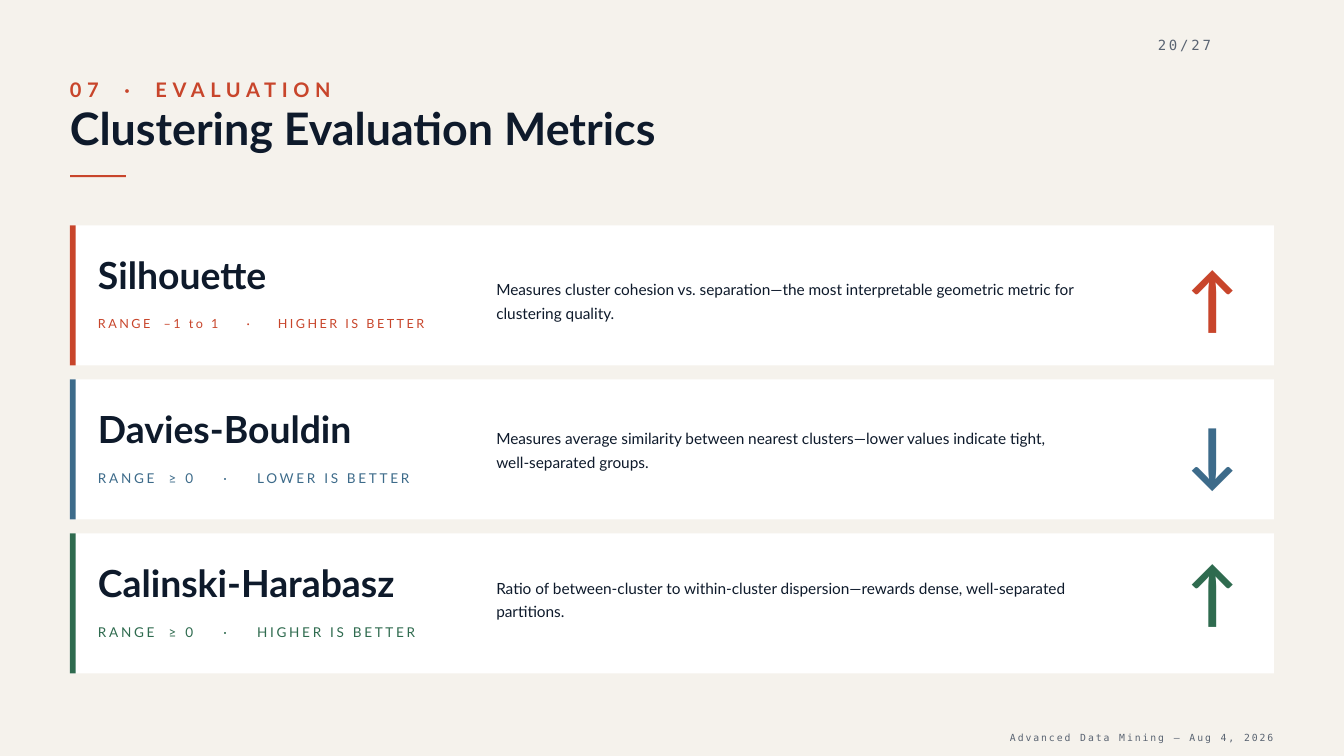
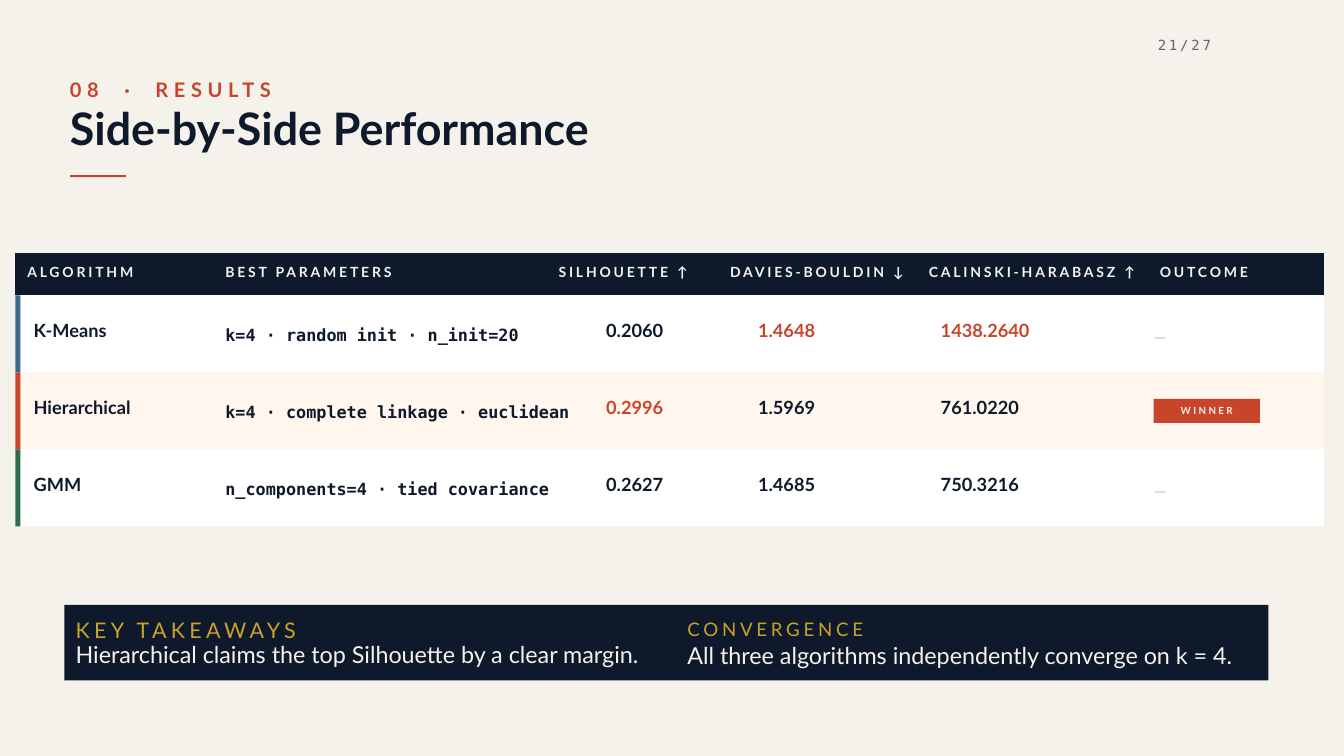
from itertools import accumulate

from pptx import Presentation
from pptx.dml.color import RGBColor
from pptx.enum.shapes import MSO_SHAPE
from pptx.enum.text import PP_ALIGN
from pptx.util import Emu, Pt

PX = 9525
PAPER = RGBColor(0xF5, 0xF2, 0xEC)
INK = RGBColor(0x0E, 0x1A, 0x2B)
WHITE = RGBColor(0xFF, 0xFF, 0xFF)
RED = RGBColor(0xC8, 0x45, 0x2B)
BLUE = RGBColor(0x3D, 0x6B, 0x8A)
GREEN = RGBColor(0x2F, 0x6B, 0x4F)
GOLD = RGBColor(0xC9, 0xA2, 0x27)
GRAY = RGBColor(0x5A, 0x64, 0x72)
SAND = RGBColor(0xC9, 0xC2, 0xB4)
CREAM = RGBColor(0xFF, 0xF6, 0xEE)
SANS = "Lato"
MONO = "DejaVu Sans Mono"
SPACE_WIDTH = 0.193
PLAIN_TABLE_STYLE = "{2D5ABB26-0587-4C30-8999-92F81FD0307C}"
MARGIN = 100
CONTENT_WIDTH = 1720


def px(length):
    return Emu(length * PX)


def write(frame, text, size=18, color=INK, font=SANS, bold=False, spacing=0,
          line=None, align=PP_ALIGN.LEFT):
    paragraph = frame.paragraphs[0]
    paragraph.alignment = align
    paragraph.line_spacing = Pt(line or round(size * 1.4, 1))
    runs = [(text, spacing)] if isinstance(text, str) else text
    for content, run_spacing in runs:
        run = paragraph.add_run()
        run.text = content
        run.font.size = Pt(size)
        run.font.name = font
        run.font.bold = bold
        run.font.color.rgb = color
        if run_spacing:
            run.font._element.set("spc", str(round(run_spacing * 100)))


def spread(parts, gaps, size, spacing):
    runs = [(parts[0], spacing)]
    for part, gap in zip(parts[1:], gaps):
        gap_spacing = gap * spacing + (gap - 1) * SPACE_WIDTH * size
        runs += [(" ", gap_spacing), (part, spacing)]
    return runs


class Deck:
    def __init__(self):
        self.presentation = Presentation()
        self.presentation.slide_width = px(1920)
        self.presentation.slide_height = px(1080)
        self.slide = None

    def start_slide(self, section, label, title, page):
        self.slide = self.presentation.slides.add_slide(self.presentation.slide_layouts[6])
        background = self.slide.background.fill
        background.solid()
        background.fore_color.rgb = PAPER
        eyebrow = spread([section, "·", label], [2, 2], 21.5, 6)
        self.text(MARGIN, 105, 1400, 40, eyebrow, size=21.5, color=RED, bold=True)
        self.text(MARGIN, 152, CONTENT_WIDTH, 70, title, size=48, bold=True, line=51.8)
        self.box(MARGIN, 250, 80, 3, RED)
        self.text(1654, 48, 200, 25, f"{page}/27", size=15, color=GRAY, font=MONO, spacing=3)

    def footer(self, text):
        self.text(920, 1043, 900, 20, text, size=10.5, color=GRAY, font=MONO,
                  spacing=2.1, align=PP_ALIGN.RIGHT)

    def text(self, left, top, width, height, text, **style):
        shape = self.slide.shapes.add_textbox(px(left), px(top), px(width), px(height))
        frame = shape.text_frame
        frame.word_wrap = True
        frame.margin_left = frame.margin_right = frame.margin_top = frame.margin_bottom = 0
        write(frame, text, **style)

    def box(self, left, top, width, height, color):
        shape = self.slide.shapes.add_shape(
            MSO_SHAPE.RECTANGLE, px(left), px(top), px(width), px(height))
        shape.shadow.inherit = False
        shape.fill.solid()
        shape.fill.fore_color.rgb = color
        shape.line.fill.background()

    def table(self, left, top, widths, heights):
        frame = self.slide.shapes.add_table(
            len(heights), len(widths), px(left), px(top), px(sum(widths)), px(sum(heights)))
        table = frame.table
        table.first_row = table.horz_banding = False
        table._tbl.tblPr[0].text = PLAIN_TABLE_STYLE
        for column, width in zip(table.columns, widths):
            column.width = px(width)
        for row, height in zip(table.rows, heights):
            row.height = px(height)
        return table

    def cell(self, cell, text, left, top, **style):
        cell.margin_left, cell.margin_top = px(left), px(top)
        cell.margin_right = cell.margin_bottom = 0
        if text:
            write(cell.text_frame, text, **style)


METRICS = [
    ("Silhouette", "–1 to 1", "HIGHER IS BETTER", "↑", RED, 13.5, 72, 23,
     "Measures cluster cohesion vs. separation—the most interpretable geometric "
     "metric for clustering quality."),
    ("Davies-Bouldin", "≥ 0", "LOWER IS BETTER", "↓", BLUE, 14.5, 65, 23,
     "Measures average similarity between nearest clusters—lower values indicate "
     "tight, well-separated groups."),
    ("Calinski-Harabasz", "≥ 0", "HIGHER IS BETTER", "↑", GREEN, 14.5, 59, 3,
     "Ratio of between-cluster to within-cluster dispersion—rewards dense, "
     "well-separated partitions."),
]

COLUMN_WIDTHS = [288, 480, 30, 215, 285, 320, 252]
COLUMN_LEFTS = list(accumulate(COLUMN_WIDTHS, initial=22))
HEADERS = [
    (0, 39, "ALGORITHM"), (1, 322, "BEST PARAMETERS"), (2, 798, "SILHOUETTE ↑"),
    (4, 1043, "DAVIES-BOULDIN ↓"), (5, 1327, "CALINSKI-HARABASZ ↑"), (6, 1657, "OUTCOME"),
]
VALUE_COLUMNS = [(0, 48), (3, 866), (4, 1083), (5, 1344)]
RESULTS = [
    ("k=4 · random init · n_init=20", ["K-Means", "0.2060", "1.4648", "1438.2640"],
     {"1.4648", "1438.2640"}, BLUE, WHITE, "—"),
    ("k=4 · complete linkage · euclidean", ["Hierarchical", "0.2996", "1.5969", "761.0220"],
     {"0.2996"}, RED, CREAM, ""),
    ("n_components=4 · tied covariance", ["GMM", "0.2627", "1.4685", "750.3216"],
     set(), GREEN, WHITE, "—"),
]


def build_metrics(deck):
    deck.start_slide("07", "EVALUATION", "Clustering Evaluation Metrics", 20)
    for index, metric in enumerate(METRICS):
        name, value_range, goal, arrow, color, size, text_offset, arrow_offset, meaning = metric
        top = 322 + 220 * index
        deck.box(MARGIN, top, CONTENT_WIDTH, 200, WHITE)
        deck.box(MARGIN, top, 8, 200, color)
        deck.text(140, top + 44, 600, 60, name, size=40, bold=True, line=43.2)
        scale = spread(["RANGE", value_range, "·", goal], [2, 5, 5], size, size / 5)
        deck.text(140, top + 126, 512, 27, scale, size=size, color=color)
        deck.text(1670, top + arrow_offset, 100, 136, arrow, size=75, color=color,
                  bold=True, align=PP_ALIGN.RIGHT)
        deck.text(709, top + text_offset, 830, 64, meaning, size=16.5, line=24.8)
    deck.footer("Advanced Data Mining — Aug 4, 2026")


def build_results(deck):
    deck.start_slide("08", "RESULTS", "Side-by-Side Performance", 21)
    top, header_height, row_height = 362, 60, 110
    table = deck.table(COLUMN_LEFTS[0], top, COLUMN_WIDTHS, [header_height] + [row_height] * 3)
    fills = [INK] + [result[4] for result in RESULTS]
    for row, fill in enumerate(fills):
        for column in range(len(COLUMN_WIDTHS)):
            cell = table.cell(row, column)
            cell.fill.solid()
            cell.fill.fore_color.rgb = fill
        first = 1 if row else 2
        table.cell(row, first).merge(table.cell(row, first + 1))

    for column, left, label in HEADERS:
        deck.cell(table.cell(0, column), label, left - COLUMN_LEFTS[column], 11,
                  size=15, color=PAPER, bold=True, spacing=3)
    for row, (parameters, values, best, accent, _, outcome) in enumerate(RESULTS, 1):
        for (column, left), value in zip(VALUE_COLUMNS, values):
            cell_left = left - COLUMN_LEFTS[column]
            # The first body column of values starts after the merged parameters.
            deck.cell(table.cell(row, column), value, cell_left, 30, size=19.5,
                      color=RED if value in best else INK, bold=True)
        deck.cell(table.cell(row, 1), parameters, 12, 38, font=MONO, bold=True)
        deck.cell(table.cell(row, 6), outcome, 8, 40, color=SAND)
        row_top = top + header_height + row_height * (row - 1)
        deck.box(COLUMN_LEFTS[0], row_top, 7, row_height, accent)
        if not outcome:
            deck.box(1648, row_top + 38, 152, 34, RED)
            deck.text(1648, row_top + 43, 152, 20, "WINNER", size=10.5, color=PAPER,
                      bold=True, spacing=2.6, align=PP_ALIGN.CENTER)

    deck.box(92, 864, CONTENT_WIDTH, 108, INK)
    takeaways = [
        (108, 876, 23, "KEY TAKEAWAYS", 908,
         "Hierarchical claims the top Silhouette by a clear margin."),
        (982, 877, 20, "CONVERGENCE", 910,
         "All three algorithms independently converge on k = 4."),
    ]
    for left, label_top, size, label, message_top, message in takeaways:
        deck.text(left, label_top, 690, 40, label, size=size, color=GOLD, spacing=size / 5)
        deck.text(left, message_top, 820, 44, message, size=25, color=PAPER)


def main():
    deck = Deck()
    build_metrics(deck)
    build_results(deck)
    deck.presentation.save("out.pptx")


if __name__ == "__main__":
    main()
